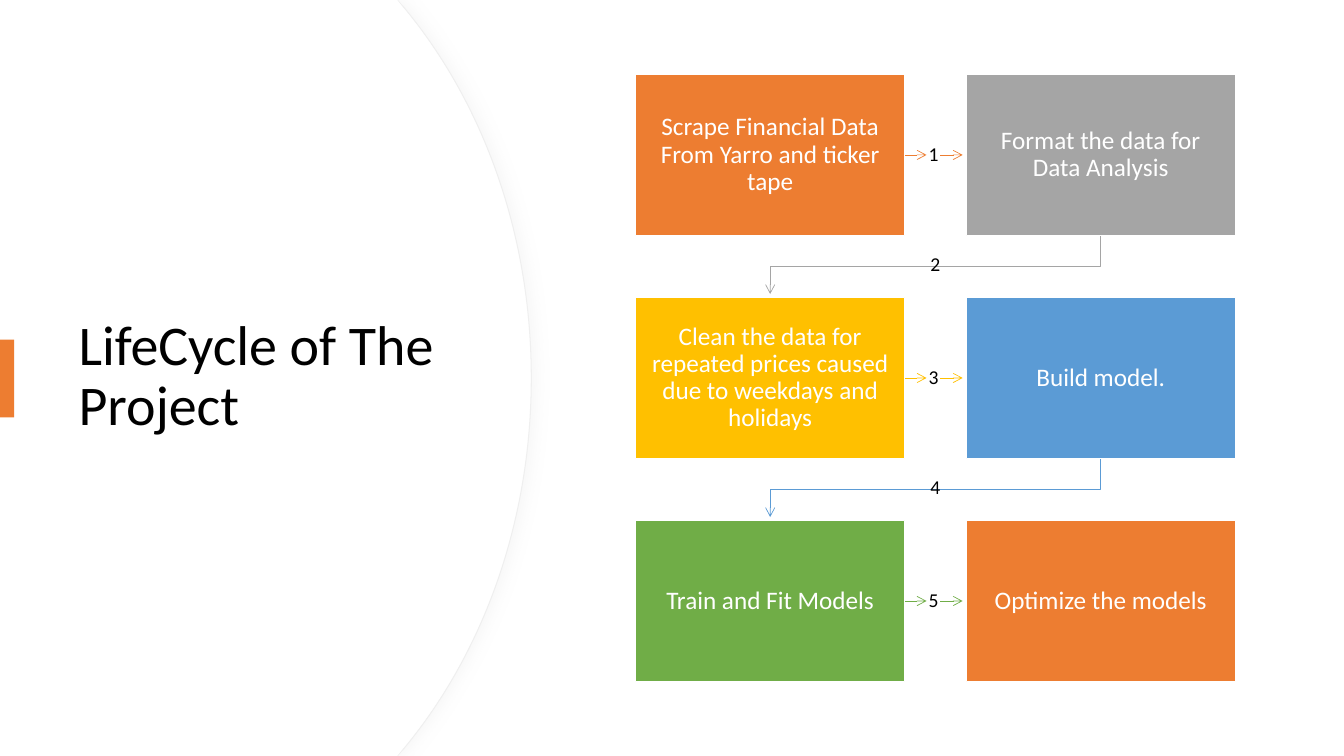
from dataclasses import dataclass

from lxml import etree
from pptx import Presentation
from pptx import util as u
from pptx.dml.color import RGBColor
from pptx.enum import shapes, text
from pptx.oxml import ns

COLORS = {
    "white": "FFFFFF", "black": "000000", "edge": "EFEFEF", "shade": "D9D9D9",
    "orange": "ED7D31", "grey": "A5A5A5", "gold": "FFC000", "blue": "5B9BD5",
    "green": "70AD47",
}
FONT = "Calibri"
WIDTH, HEIGHT = 33.87, 19.05
LEFT, TOP = 16.02, 1.87
COLUMN_STEP, ROW_STEP = 8.33, 5.62
BOX_WIDTH, BOX_HEIGHT = 6.78, 4.07

Point = tuple[float, float]


@dataclass
class Step:
    label: str
    color: str


STEPS = [
    Step("Scrape Financial Data From Yarro and ticker tape", "orange"),
    Step("Format the data for Data Analysis", "grey"),
    Step("Clean the data for repeated prices caused due to weekdays and holidays", "gold"),
    Step("Build model.", "blue"),
    Step("Train and Fit Models", "green"),
    Step("Optimize the models", "orange"),
]


def rgb(name: str) -> RGBColor:
    return RGBColor.from_string(COLORS[name])


def write(shape, content: str, size: float, color: str, align=None, inset=(0.25, 0.13)) -> None:
    frame = shape.text_frame
    frame.word_wrap = True
    frame.vertical_anchor = text.MSO_ANCHOR.MIDDLE
    frame.margin_left = frame.margin_right = u.Cm(inset[0])
    frame.margin_top = frame.margin_bottom = u.Cm(inset[1])
    para = frame.paragraphs[0]
    para.alignment = align
    para.line_spacing = 0.9
    span = para.add_run()
    span.text = content
    span.font.name = FONT
    span.font.size = u.Pt(size)
    span.font.color.rgb = rgb(color)


def add_text(page, left: float, top: float, width: float, height: float):
    return page.shapes.add_textbox(u.Cm(left), u.Cm(top), u.Cm(width), u.Cm(height))


def add_block(page, left: float, top: float, width: float, height: float, color: str):
    block = page.shapes.add_shape(
        shapes.MSO_SHAPE.RECTANGLE, u.Cm(left), u.Cm(top), u.Cm(width), u.Cm(height))
    block.shadow.inherit = False
    block.fill.solid()
    block.fill.fore_color.rgb = rgb(color)
    block.line.fill.background()
    return block


def add_outline(page, contours: list[list[Point]], close: bool):
    (first, *others), *later = [[(u.Cm(x), u.Cm(y)) for x, y in contour]
                                for contour in contours]
    builder = page.shapes.build_freeform(*first)
    builder.add_line_segments(others, close=close)
    for start, *rest in later:
        builder.move_to(*start)
        builder.add_line_segments(rest, close=close)
    outline = builder.convert_to_shape()
    outline.shadow.inherit = False
    return outline


def bend_segments(outline, first: int) -> None:
    """Turn three line segments, counted from first, into one Bezier curve."""
    segments = list(outline.element.iter(ns.qn("a:lnTo")))[first:first + 3]
    curve = etree.Element(ns.qn("a:cubicBezTo"))
    segments[0].addprevious(curve)
    for segment in segments:
        curve.append(segment[0])
        segment.getparent().remove(segment)


def add_panel(page, right: float):
    """Left panel whose curved side reaches right at mid height."""
    upper = [(0, 0), (10.01, 0), (right - 3.2, 0.2), (right - 1.22, 2.59), (right, 5.89)]
    lower = [(x, HEIGHT - y) for x, y in reversed(upper)]
    panel = add_outline(page, [[*upper, (right, HEIGHT / 2), *lower]], True)
    bend_segments(panel, 5)
    bend_segments(panel, 2)
    panel.fill.solid()
    panel.fill.fore_color.rgb = rgb("white")
    panel.line.fill.background()
    return panel


def add_soft_shadow(shape) -> None:
    effects = shape.element.spPr.find(ns.qn("a:effectLst"))
    shadow = etree.SubElement(effects, ns.qn("a:outerShdw"), blurRad=str(u.Pt(10)),
                              dist=str(u.Pt(3)), dir="0", algn="l", rotWithShape="0")
    color = etree.SubElement(shadow, ns.qn("a:srgbClr"), val=COLORS["shade"])
    etree.SubElement(color, ns.qn("a:alpha"), val="20000")


def add_arrow(page, contours: list[list[Point]], color: str) -> None:
    arrow = add_outline(page, contours, False)
    arrow.fill.background()
    arrow.line.color.rgb = rgb(color)
    arrow.line.width = u.Pt(0.5)
    line = arrow.element.spPr.find(ns.qn("a:ln"))
    etree.SubElement(line, ns.qn("a:tailEnd"), type="arrow")


def add_number(page, number: int, center: float, middle: float) -> None:
    box = add_text(page, center - 0.2, middle - 0.28, 0.4, 0.56)
    write(box, str(number), 14, "black", text.PP_ALIGN.CENTER, (0.02, 0))


def add_step(page, index: int, step: Step) -> None:
    row, column = divmod(index, 2)
    left, top = LEFT + column * COLUMN_STEP, TOP + row * ROW_STEP
    right, bottom = left + BOX_WIDTH, top + BOX_HEIGHT
    if index < len(STEPS) - 1:
        if column == 0:
            middle = top + BOX_HEIGHT / 2
            add_arrow(page, [[(right, middle), (right + 0.55, middle)],
                             [(right + 0.9, middle), (right + 1.46, middle)]], step.color)
            add_number(page, index + 1, right + 0.73, middle)
        else:
            start = left + BOX_WIDTH / 2
            end, bend = start - COLUMN_STEP, bottom + 0.78
            add_arrow(page, [[(start, bottom), (start, bend), (end, bend),
                              (end, bottom + 1.47)]], step.color)
            add_number(page, index + 1, (start + end) / 2, bottom + 0.74)
    box = add_block(page, left, top, BOX_WIDTH, BOX_HEIGHT, step.color)
    box.line.color.rgb = rgb("white")
    box.line.width = u.Pt(1)
    write(box, step.label, 18, "white", text.PP_ALIGN.CENTER, (0.33, 0.35))


def main() -> None:
    deck = Presentation()
    deck.slide_width, deck.slide_height = u.Cm(WIDTH), u.Cm(HEIGHT)
    page = deck.slides.add_slide(deck.slide_layouts[6])

    back_panel = add_panel(page, 13.39)
    back_panel.line.color.rgb = rgb("edge")
    back_panel.line.width = u.Pt(0.75)
    add_soft_shadow(back_panel)
    add_panel(page, 13.36)

    title = add_text(page, 1.73, 3.23, 10.01, 12.57)
    write(title, "LifeCycle of The Project", 40, "black")
    add_block(page, 0, 8.56, 0.36, 1.96, "orange")

    for index, step in enumerate(STEPS):
        add_step(page, index, step)
    deck.save("out.pptx")


if __name__ == "__main__":
    main()
